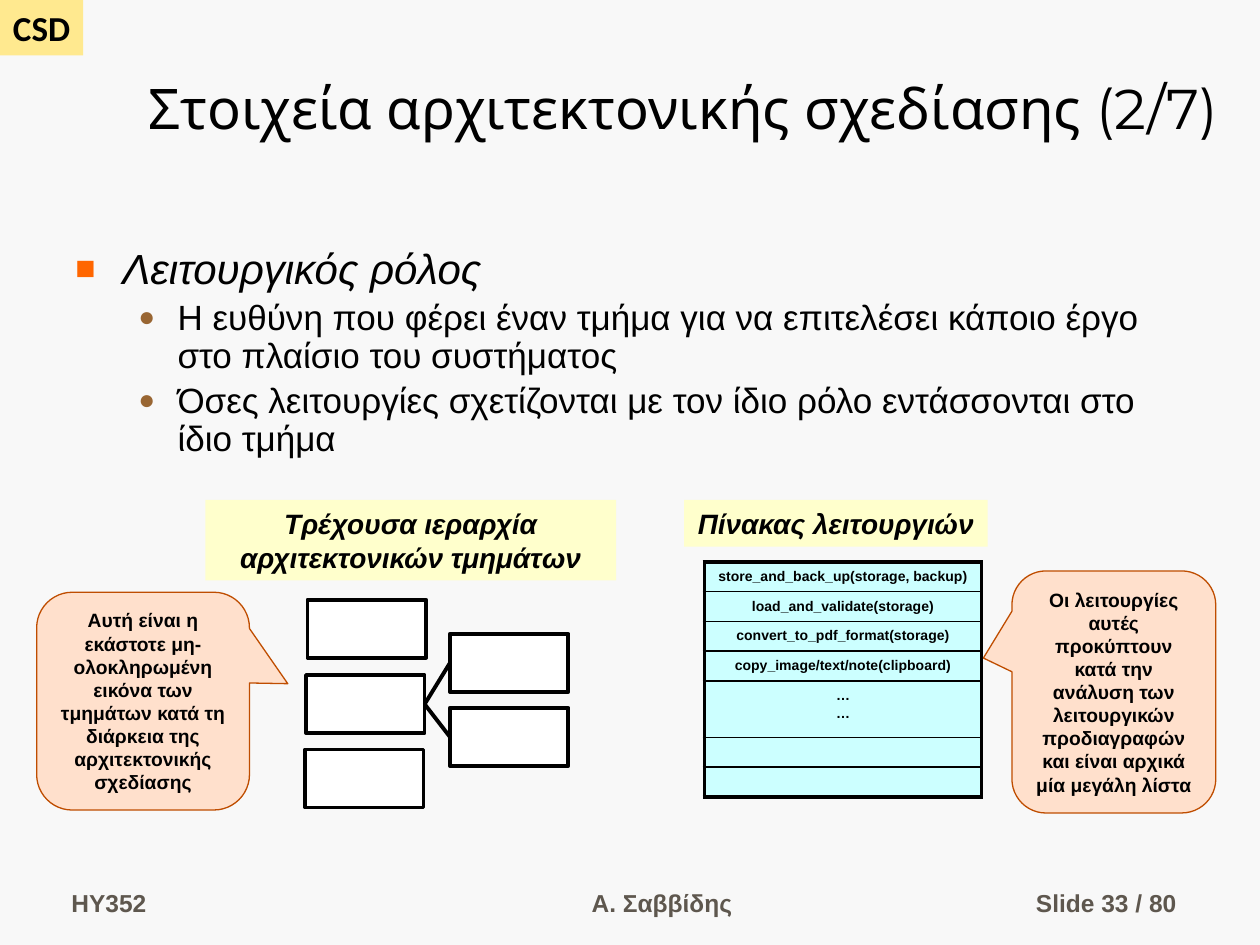
from lxml import etree
from pptx import Presentation
from pptx.dml.color import RGBColor
from pptx.enum.shapes import MSO_CONNECTOR, MSO_SHAPE as SHAPE
from pptx.enum.text import MSO_ANCHOR as ANCHOR, PP_ALIGN as ALIGN
from pptx.oxml import parse_xml
from pptx.oxml.ns import qn
from pptx.util import Cm, Pt

DRAWING = 'xmlns:a="http://schemas.openxmlformats.org/drawingml/2006/main"'


def color(hex_code):
    """Turn a hex string into a colour."""
    return RGBColor.from_string(hex_code)


def add_box(at, text="", preset=None, fill=None, line=None, anchor=ANCHOR.MIDDLE,
            align=ALIGN.CENTER, wrap=True, ink="000000", **font):
    """Add a preset shape, or a text box when no preset is given."""
    place = [Cm(length) for length in at]
    if preset is None:
        box = page.shapes.add_textbox(*place)
    else:
        box = page.shapes.add_shape(preset, *place)
        box.shadow.inherit = False
        box.fill.solid()
        box.fill.fore_color.rgb = color(fill)
        if line:
            box.line.color.rgb, box.line.width = color(line[0]), Pt(line[1])
        else:
            box.line.fill.background()
    frame = box.text_frame
    frame.word_wrap, frame.vertical_anchor = wrap, anchor
    if text:
        para = frame.paragraphs[0]
        para.alignment = align
        span = para.add_run()
        span.text = text
        span.font.color.rgb = color(ink)
        for name, value in ({"name": "Arial", "bold": True} | font).items():
            setattr(span.font, name, value)
    return box


deck = Presentation()
deck.slide_width, deck.slide_height = Cm(25.4), Cm(19.05)
page = deck.slides.add_slide(deck.slide_layouts[6])
page.background.fill.solid()
page.background.fill.fore_color.rgb = color("F8F8F8")

# Header and footer
add_box((0, 0, 1.68, 1.12), "CSD", SHAPE.RECTANGLE, "FFE98F", wrap=False,
        name="Calibri", size=Pt(20))
add_box((2.74, 0.43, 22.66, 2.54), "Στοιχεία αρχιτεκτονικής σχεδίασης (2/7)",
        anchor=ANCHOR.BOTTOM, align=ALIGN.LEFT, name="Montserrat", size=Pt(32), bold=False)
for left, width, text, align in [
    (1.19, 5.56, "HY352", ALIGN.LEFT),
    (9.32, 8.05, "Α. Σαββίδης", ALIGN.CENTER),
    (18.69, 5.28, "Slide 33 / 80", ALIGN.RIGHT),
]:
    add_box((left, 17.35, width, 1.27), text, anchor=ANCHOR.BOTTOM, align=align,
            ink="5E574E", size=Pt(14))

# Bulleted text
levels = [
    {"indent": 0.95, "hang": 0.95, "mark": "■", "mark_color": "FF6600", "size": 24, "gap": 0},
    {"indent": 2.06, "hang": 0.79, "mark": "●", "mark_color": "996633", "size": 20, "gap": 4},
]
body = add_box((1.27, 4.88, 22.38, 4.57), anchor=ANCHOR.TOP).text_frame
for index, (depth, text) in enumerate([
    (0, "Λειτουργικός ρόλος"),
    (1, "Η ευθύνη που φέρει έναν τμήμα για να επιτελέσει κάποιο έργο "
        "στο πλαίσιο του συστήματος"),
    (1, "Όσες λειτουργίες σχετίζονται με τον ίδιο ρόλο εντάσσονται στο ίδιο τμήμα"),
]):
    level = levels[depth]
    para = body.add_paragraph() if index else body.paragraphs[0]
    para.level, para.line_spacing, para.space_before = depth, 0.9, Pt(level["gap"])
    span = para.add_run()
    span.text = text
    span.font.color.rgb = color("000000")
    for name, value in {"name": "Arial", "size": Pt(level["size"]), "italic": depth == 0}.items():
        setattr(span.font, name, value)
    props = para._p.get_or_add_pPr()
    props.set("marL", str(Cm(level["indent"])))
    props.set("indent", str(-Cm(level["hang"])))
    for xml in (f'<a:buClr {DRAWING}><a:srgbClr val="{level["mark_color"]}"/></a:buClr>',
                f'<a:buSzPct {DRAWING} val="80000"/>',
                f'<a:buFont {DRAWING} typeface="Arial"/>',
                f'<a:buChar {DRAWING} char="{level["mark"]}"/>'):
        props.append(parse_xml(xml))

# Captions
for at, text, wrap in [
    ((4.14, 10.08, 8.28, 1.62), "Τρέχουσα ιεραρχία αρχιτεκτονικών τμημάτων", True),
    ((13.79, 10.08, 6.12, 0.94), "Πίνακας λειτουργιών", False),
]:
    add_box(at, text, SHAPE.RECTANGLE, "FFFFCC", wrap=wrap, size=Pt(16), italic=True)

# Hierarchy of parts
top_part, parent, bottom_part, *children = [
    add_box((left, top, 2.39, 1.17), "", SHAPE.RECTANGLE, "FFFFFF", ("000000", 2.25))
    for left, top in [(6.2, 12.09), (6.17, 13.61), (6.15, 15.11), (9.07, 12.78), (9.07, 14.27)]
]
for child in children:
    link = page.shapes.add_connector(MSO_CONNECTOR.STRAIGHT, 0, 0, 0, 0)
    link.begin_connect(parent, 3)
    link.end_connect(child, 1)
    link.line.color.rgb, link.line.width = color("000000"), Pt(2.25)
    etree.SubElement(link._element.spPr, qn("a:effectLst"))

# Table of functions
functions = [
    "store_and_back_up(storage, backup)", "load_and_validate(storage)",
    "convert_to_pdf_format(storage)", "copy_image/text/note(clipboard)", "…\n…", "", "",
]
row_height = 0.57
frame = page.shapes.add_table(len(functions), 1, Cm(14.2), Cm(11.33), Cm(5.59),
                              Cm(row_height * (len(functions) + 1)))
table = frame.table
table.first_row = table.horz_banding = False
for index, text in enumerate(functions):
    table.rows[index].height = Cm(row_height * (2 if "\n" in text else 1))
    cell = table.cell(index, 0)
    cell.text = text
    cell.margin_left = cell.margin_right = Cm(0.25)
    cell.margin_top = cell.margin_bottom = Cm(0.13)
    cell.fill.solid()
    cell.fill.fore_color.rgb = color("CCFFFF")
    for order, para in enumerate(cell.text_frame.paragraphs):
        para.alignment = ALIGN.CENTER
        para.space_before = Pt(1.6 if order else 0)
        for font in [para.font] + [span.font for span in para.runs]:
            font.name, font.size, font.bold = "Arial", Pt(8), True
            font.color.rgb = color("000000")
        if not para.runs:
            etree.SubElement(para._p, qn("a:endParaRPr"), sz="800")
    edges = {"lnL": 2.25, "lnR": 2.25, "lnT": 1 if index else 2.25,
             "lnB": 2.25 if index == len(functions) - 1 else 1}
    for order, (edge, width) in enumerate(edges.items()):
        cell._tc.tcPr.insert(order, parse_xml(
            f'<a:{edge} {DRAWING} w="{Pt(width)}"><a:solidFill>'
            f'<a:srgbClr val="000000"/></a:solidFill></a:{edge}>'))

# Callouts
for at, tip, text in [
    ((20.4, 11.51, 4.11, 4.88), (-0.64, -0.14),
     "Οι λειτουργίες αυτές προκύπτουν κατά την ανάλυση των λειτουργικών "
     "προδιαγραφών και είναι αρχικά μία μεγάλη λίστα"),
    ((0.74, 11.94, 4.29, 4.39), (0.68, -0.08),
     "Αυτή είναι η εκάστοτε μη-ολοκληρωμένη εικόνα των τμημάτων κατά τη "
     "διάρκεια της αρχιτεκτονικής σχεδίασης"),
]:
    callout = add_box(at, text, SHAPE.ROUNDED_RECTANGULAR_CALLOUT, "FFE0CC",
                      ("BF4D00", 0.75), size=Pt(11))
    callout.adjustments[0], callout.adjustments[1] = tip

deck.save("out.pptx")
